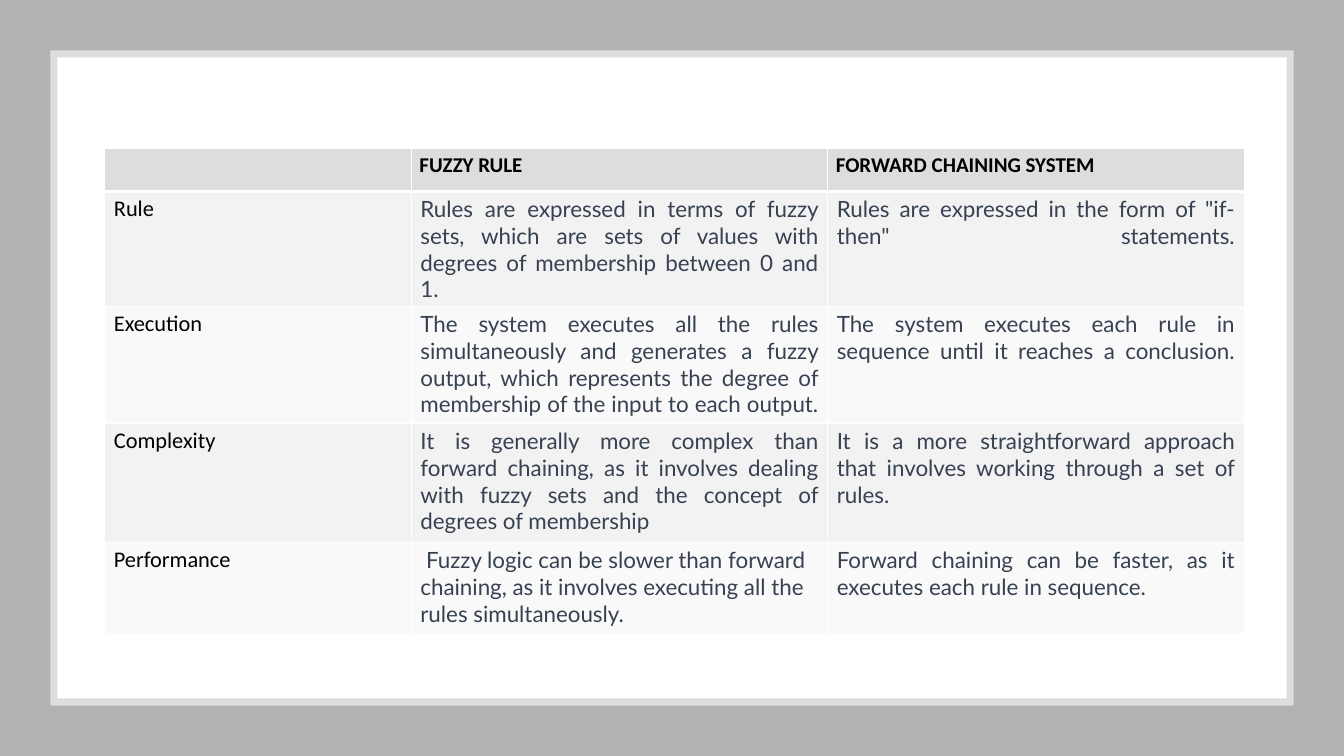
from dataclasses import dataclass

from lxml import etree
from pptx import Presentation
from pptx.dml.color import RGBColor
from pptx.enum.shapes import MSO_SHAPE
from pptx.enum.text import PP_ALIGN
from pptx.oxml.ns import qn
from pptx.util import Inches, Pt

HEADERS = ["", "FUZZY RULE", "FORWARD CHAINING SYSTEM"]
# "\v" is a line break; it stretches the justified line before it.
ROWS = [
    ("Rule",
     "Rules are expressed in terms of fuzzy sets, which are sets of values with "
     "degrees of membership between 0 and 1.",
     'Rules are expressed in the form of "if-then" statements.\v'),
    ("Execution",
     "The system executes all the rules simultaneously and generates a fuzzy output, "
     "which represents the degree of membership of the input to each output. ",
     "The system executes each rule in sequence until it reaches a conclusion.\v"),
    ("Complexity",
     "It is generally more complex than forward chaining, as it involves dealing with "
     "fuzzy sets and the concept of degrees of membership",
     "It is a more straightforward approach that involves working through a set of "
     "rules.\v"),
    ("Performance",
     " Fuzzy logic can be slower than forward chaining, as it involves executing all "
     "the rules simultaneously.",
     "Forward chaining can be faster, as it executes each rule in sequence."),
]
LEFT_ALIGNED = {(4, 1)}

SLIDE_WIDTH, SLIDE_HEIGHT = 13.33, 7.5
TABLE_LEFT, TABLE_TOP = 1.04, 1.47
COLUMN_WIDTHS = [3.04, 4.13, 4.13]
ROW_HEIGHTS = [0.43, 0.9, 1.16, 1.16, 0.9]


@dataclass(frozen=True)
class Theme:
    backdrop: str = "B2B2B2"
    frame: str = "DDDDDD"
    panel: str = "FFFFFF"
    bands: tuple = ("F2F2F2", "F9F9F9")
    border: str = "FFFFFF"
    label: str = "000000"
    body: str = "374151"
    label_font: str = "Calibri"
    body_font: str = "Lato"
    header_size: int = 15
    text_size: int = 16
    border_width: int = 1
    header_rule_width: int = 3


THEME = Theme()


def add_inset_panel(slide, inset, color):
    """Draw a rectangle the same distance from every slide edge."""
    shape = slide.shapes.add_shape(
        MSO_SHAPE.RECTANGLE, Inches(inset), Inches(inset),
        Inches(SLIDE_WIDTH - 2 * inset), Inches(SLIDE_HEIGHT - 2 * inset))
    shape.shadow.inherit = False
    shape.fill.solid()
    shape.fill.fore_color.rgb = RGBColor.from_string(color)
    shape.line.fill.background()


def write_text(cell, text, *, font, size, color, bold=False,
               align=PP_ALIGN.LEFT, side_margin=0.09):
    cell.margin_left = cell.margin_right = Inches(side_margin)
    cell.margin_top = cell.margin_bottom = Inches(0.04)
    paragraph = cell.text_frame.paragraphs[0]
    paragraph.text = text
    paragraph.alignment = align
    for run in paragraph.runs:
        run.font.name = font
        run.font.size = Pt(size)
        run.font.bold = bold
        run.font.color.rgb = RGBColor.from_string(color)


def set_borders(cell, bottom_width, top_width):
    properties = cell._tc.get_or_add_tcPr()
    widths = {"a:lnL": THEME.border_width, "a:lnR": THEME.border_width,
              "a:lnT": top_width, "a:lnB": bottom_width}
    for position, (tag, width) in enumerate(widths.items()):
        line = etree.Element(qn(tag), w=str(Pt(width)))
        fill = etree.SubElement(line, qn("a:solidFill"))
        etree.SubElement(fill, qn("a:srgbClr"), val=THEME.border)
        properties.insert(position, line)


def style_cell(cell, row, column, text):
    if row == 0:
        color = THEME.frame
        style = dict(font=THEME.label_font, size=THEME.header_size,
                     color=THEME.label, bold=True, side_margin=0.08)
    else:
        color = THEME.bands[(row - 1) % 2]
        style = dict(font=THEME.label_font, size=THEME.text_size, color=THEME.label)
        if column > 0:
            justified = (row, column) not in LEFT_ALIGNED
            style.update(font=THEME.body_font, color=THEME.body,
                         align=PP_ALIGN.JUSTIFY if justified else PP_ALIGN.LEFT)
    write_text(cell, text, **style)
    cell.fill.solid()
    cell.fill.fore_color.rgb = RGBColor.from_string(color)
    set_borders(
        cell,
        bottom_width=THEME.header_rule_width if row == 0 else THEME.border_width,
        top_width=THEME.header_rule_width if row == 1 else THEME.border_width)


def add_comparison_table(slide):
    contents = [HEADERS, *ROWS]
    table = slide.shapes.add_table(
        len(contents), len(HEADERS), Inches(TABLE_LEFT), Inches(TABLE_TOP),
        Inches(sum(COLUMN_WIDTHS)), Inches(sum(ROW_HEIGHTS))).table
    for column, width in zip(table.columns, COLUMN_WIDTHS):
        column.width = Inches(width)
    for row, height in zip(table.rows, ROW_HEIGHTS):
        row.height = Inches(height)
    for row, texts in enumerate(contents):
        for column, text in enumerate(texts):
            style_cell(table.cell(row, column), row, column, text)


def main():
    presentation = Presentation()
    presentation.slide_width = Inches(SLIDE_WIDTH)
    presentation.slide_height = Inches(SLIDE_HEIGHT)
    slide = presentation.slides.add_slide(presentation.slide_layouts[6])
    for inset, color in ((0, THEME.backdrop), (0.5, THEME.frame), (0.57, THEME.panel)):
        add_inset_panel(slide, inset, color)
    add_comparison_table(slide)
    presentation.save("out.pptx")


if __name__ == "__main__":
    main()
